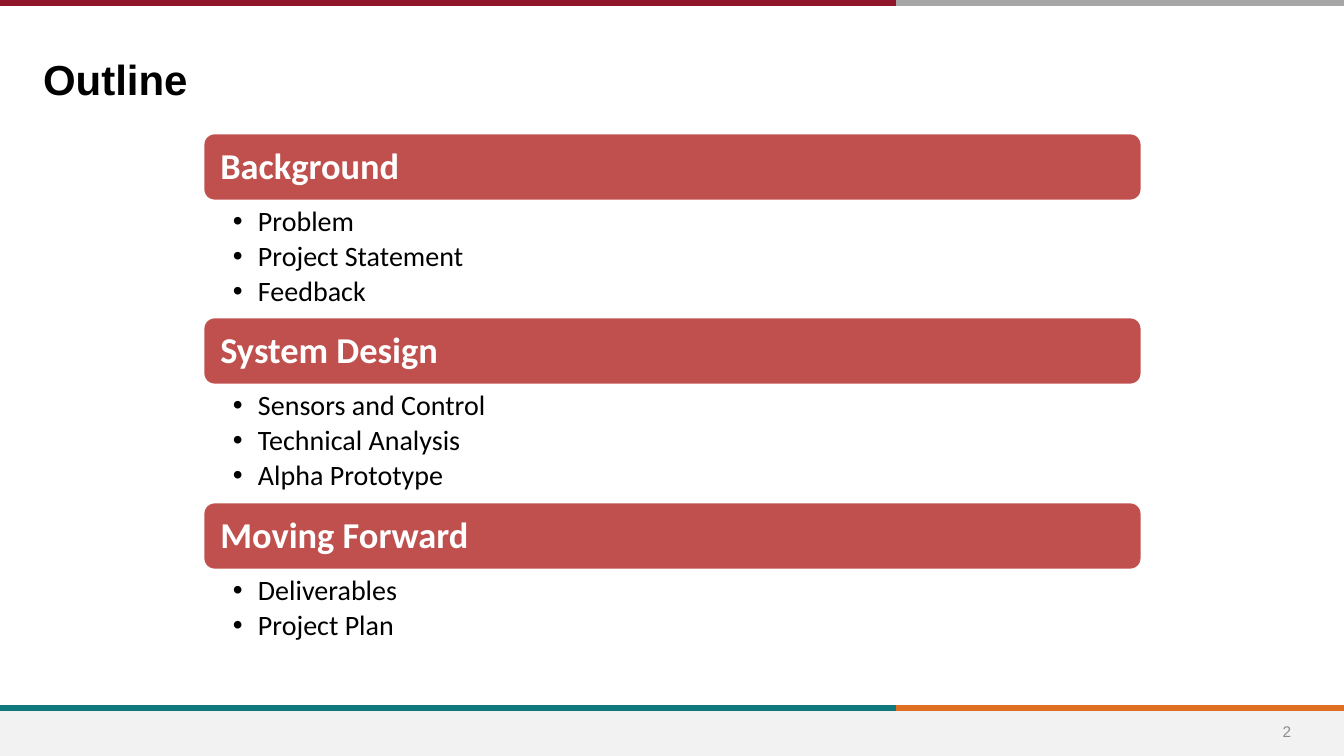
"""Build the project outline slide with three sections and their topics."""
from lxml.etree import SubElement
from pptx import Presentation
from pptx.dml.color import RGBColor
from pptx.enum.shapes import MSO_CONNECTOR, MSO_SHAPE
from pptx.enum.text import MSO_ANCHOR, PP_ALIGN
from pptx.oxml.ns import qn
from pptx.util import Emu, Pt

COLORS = {
    "black": "000000", "white": "FFFFFF", "section": "C0504D",
    "footer": "F2F2F2", "number": "8C8C8C", "crimson": "90152A",
    "gray": "A6A6A6", "teal": "0F787D", "orange": "DF7023",
}
SECTIONS = [
    ("Background", ["Problem", "Project Statement", "Feedback"]),
    ("System Design", ["Sensors and Control", "Technical Analysis", "Alpha Prototype"]),
    ("Moving Forward", ["Deliverables", "Project Plan"]),
]
WIDTH, HEIGHT, SPLIT = 1344, 756, 896
SECTION_LEFT, SECTION_WIDTH, SECTION_HEIGHT = 203, 939, 68


def px(*lengths):
    return [Emu(round(length * 914400 / 100.8)) for length in lengths]


def add_text(paragraph, text, font_name, size, color, bold=False):
    run = paragraph.add_run()
    run.text = text
    run.font.name = font_name
    run.font.size = Pt(size)
    run.font.bold = bold
    run.font.color.rgb = RGBColor.from_string(COLORS[color])


presentation = Presentation()
presentation.slide_width, presentation.slide_height = px(WIDTH, HEIGHT)
slide = presentation.slides.add_slide(presentation.slide_layouts[5])

footer = slide.shapes.add_shape(MSO_SHAPE.RECTANGLE, *px(0, 711, WIDTH, 45))
footer.shadow.inherit = False
footer.fill.solid()
footer.fill.fore_color.rgb = RGBColor.from_string(COLORS["footer"])
footer.line.fill.background()

for start, end, y, color in [
    (SPLIT, WIDTH, 708, "orange"), (0, SPLIT, 708, "teal"),
    (SPLIT, WIDTH, 3, "gray"), (0, SPLIT, 3, "crimson"),
]:
    rule = slide.shapes.add_connector(MSO_CONNECTOR.STRAIGHT, *px(start, y, end, y))
    rule.line.color.rgb = RGBColor.from_string(COLORS[color])
    rule.line.width = Pt(4)
    SubElement(rule.element.spPr, qn("a:effectLst"))

number_box = slide.shapes.add_textbox(*px(1252, 711, 70, 40))
number_frame = number_box.text_frame
number_frame.word_wrap = True
number_frame.vertical_anchor = MSO_ANCHOR.MIDDLE
number_frame.paragraphs[0].alignment = PP_ALIGN.CENTER
add_text(number_frame.paragraphs[0], "2", "Arial", 11, "number")

title = slide.shapes.title
title.left, title.top, title.width, title.height = px(33, 46, 1074, 60)
title_frame = title.text_frame
title_frame.word_wrap = True
title_frame.vertical_anchor = MSO_ANCHOR.MIDDLE
title_frame.margin_top, title_frame.margin_bottom = px(8, 2)
title_frame.paragraphs[0].alignment = PP_ALIGN.LEFT
add_text(title_frame.paragraphs[0], "Outline", "Arial", 30, "black", True)

for index, (heading, topics) in enumerate(SECTIONS):
    top = 133 + index * 369 // 2
    bar = slide.shapes.add_shape(
        MSO_SHAPE.ROUNDED_RECTANGLE, *px(SECTION_LEFT, top, SECTION_WIDTH, SECTION_HEIGHT))
    bar.shadow.inherit = False
    bar.fill.solid()
    bar.fill.fore_color.rgb = RGBColor.from_string(COLORS["section"])
    bar.line.color.rgb = RGBColor.from_string(COLORS["white"])
    bar.line.width = Pt(2)
    bar_frame = bar.text_frame
    bar_frame.word_wrap = True
    bar_frame.vertical_anchor = MSO_ANCHOR.MIDDLE
    bar_frame.margin_left, bar_frame.margin_top, bar_frame.margin_bottom = px(14, 11, 9)
    paragraph = bar_frame.paragraphs[0]
    paragraph.alignment = PP_ALIGN.LEFT
    paragraph.line_spacing = 0.9
    add_text(paragraph, heading, "Calibri", 26, "white", True)

    topic_box = slide.shapes.add_textbox(
        *px(SECTION_LEFT, top + 70, SECTION_WIDTH, 2 + 38 * len(topics)))
    topic_frame = topic_box.text_frame
    topic_frame.word_wrap = True
    topic_frame.margin_left, topic_frame.margin_right = px(30, 20)
    topic_frame.margin_top, topic_frame.margin_bottom = px(4, 4)
    for row, topic in enumerate(topics):
        paragraph = topic_frame.add_paragraph() if row else topic_frame.paragraphs[0]
        paragraph.level = 1
        paragraph.line_spacing = 0.9
        paragraph.space_after = Pt(3.5)
        properties = paragraph._p.get_or_add_pPr()
        indent = px(25)[0]
        properties.set("marL", str(indent))
        properties.set("indent", str(-indent))
        SubElement(properties, qn("a:buFont"), typeface="Arial")
        SubElement(properties, qn("a:buChar"), char="•")
        add_text(paragraph, topic, "Calibri", 20, "black")

presentation.save("out.pptx")
